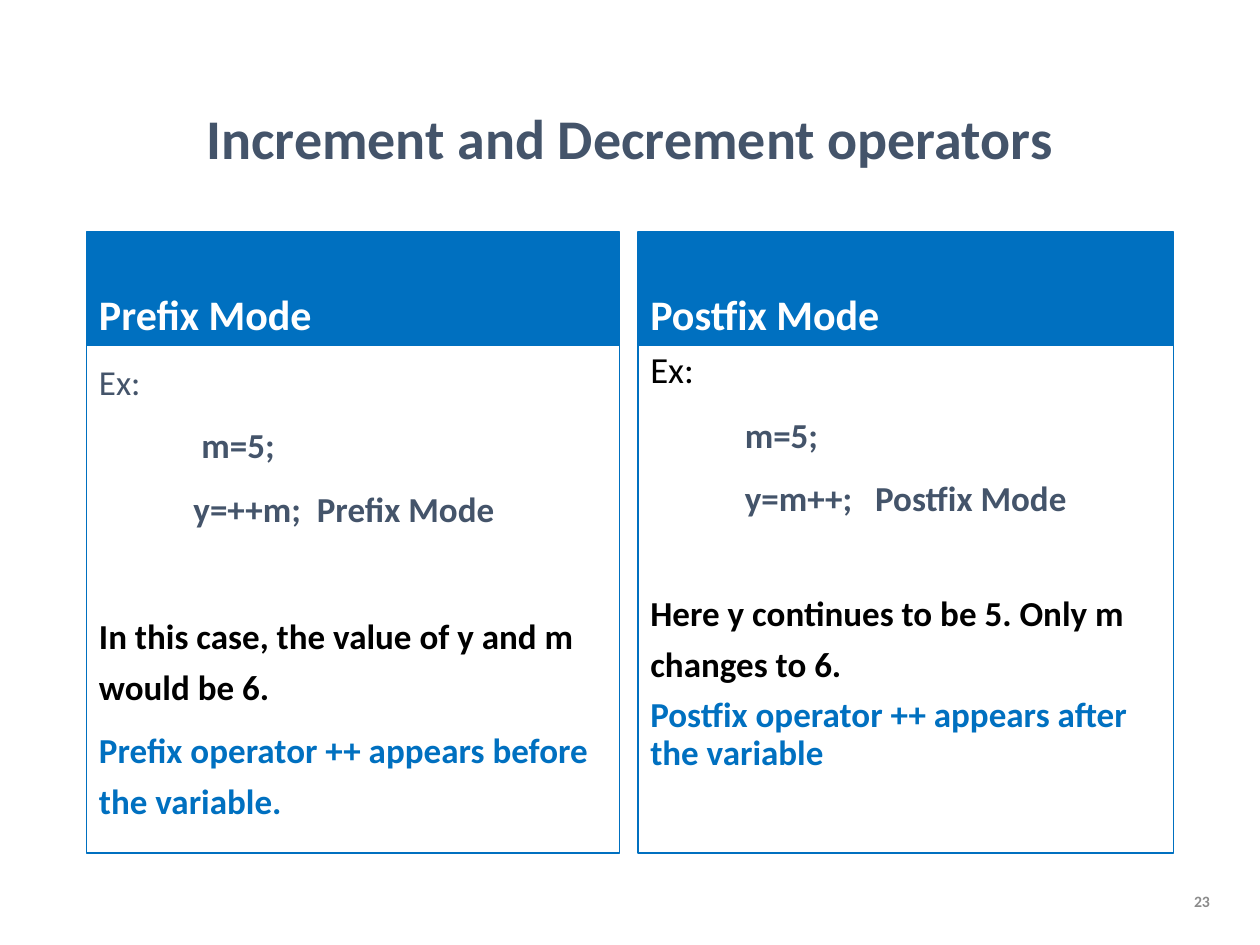
"""Build a slide comparing the prefix and postfix modes of the increment operator."""
from lxml.etree import SubElement
from pptx import Presentation
from pptx.dml.color import RGBColor
from pptx.enum.shapes import MSO_SHAPE
from pptx.enum.text import MSO_ANCHOR, PP_ALIGN
from pptx.oxml.ns import qn
from pptx.util import Pt

COLORS = {
    "slate": "44546A",
    "blue": "0070C0",
    "white": "FFFFFF",
    "black": "000000",
    "gray": "8C8C8C",
}


def write(frame, anchor, lines):
    frame.word_wrap = True
    frame.vertical_anchor = anchor
    for index, (text, color, size, bold, layout, tabs) in enumerate(lines):
        paragraph = frame.paragraphs[0] if index == 0 else frame.add_paragraph()
        for name, value in ({"alignment": PP_ALIGN.LEFT} | layout).items():
            setattr(paragraph, name, value)
        if tabs:
            stops = SubElement(paragraph._p.get_or_add_pPr(), qn("a:tabLst"))
            for position in tabs:
                SubElement(stops, qn("a:tab"), pos=str(Pt(position)), algn="l")
        run = paragraph.add_run()
        run.text = text
        for name, value in {"name": "Calibri", "size": Pt(size), "bold": bold}.items():
            setattr(run.font, name, value)
        run.font.color.rgb = RGBColor.from_string(COLORS[color])


def add_panel(left, top, width, height, fill):
    panel = slide.shapes.add_shape(
        MSO_SHAPE.RECTANGLE, Pt(left), Pt(top), Pt(width), Pt(height)
    )
    panel.shadow.inherit = False
    if fill:
        panel.fill.solid()
        panel.fill.fore_color.rgb = RGBColor.from_string(COLORS[fill])
    else:
        panel.fill.background()
    panel.line.color.rgb = RGBColor.from_string(COLORS["blue"])
    panel.line.width = Pt(0.75)
    return panel.text_frame


presentation = Presentation()
presentation.slide_width = Pt(720)
presentation.slide_height = Pt(540)
slide = presentation.slides.add_slide(presentation.slide_layouts[6])

tight = {"line_spacing": 0.9, "space_before": Pt(7.5)}
loose = {"line_spacing": 1.2, "space_before": Pt(7.5)}

title = slide.shapes.add_textbox(Pt(49.5), Pt(28.8), Pt(621), Pt(104)).text_frame
centered = {"alignment": PP_ALIGN.CENTER, "line_spacing": 0.9}
write(title, MSO_ANCHOR.MIDDLE, [
    ("Increment and Decrement operators", "slate", 32, True, centered, []),
])

modes = [
    (49.5, 304.5, "Prefix Mode", [
        ("Ex:", "slate", 20, False, loose, []),
        ("\tm=5;", "slate", 20, True, loose, [58.5]),
        ("\ty=++m;\tPrefix Mode", "slate", 20, True, loose, [54, 124.5]),
        ("In this case, the value of y and m would be 6.", "black", 20, True,
         loose | {"space_before": Pt(44)}, []),
        ("Prefix operator ++ appears before the variable.", "blue", 20, True, loose, []),
    ]),
    (364.5, 306, "Postfix Mode", [
        ("Ex:", "black", 21, False, tight, []),
        ("\tm=5;", "slate", 20, True, loose, [54]),
        ("\ty=m++;\tPostfix Mode", "slate", 20, True, loose, [54, 128.5]),
        ("Here y continues to be 5. Only m changes to 6.", "black", 20, True,
         loose | {"space_before": Pt(37)}, []),
        ("Postfix operator ++ appears after the variable", "blue", 20, True, tight, []),
    ]),
]
for left, width, heading, explanation in modes:
    write(add_panel(left, 132.5, width, 65, "blue"), MSO_ANCHOR.BOTTOM,
          [(heading, "white", 24, True, tight, [])])
    write(add_panel(left, 197.5, width, 290, None), MSO_ANCHOR.TOP, explanation)

page_number = slide.shapes.add_textbox(Pt(670.5), Pt(500.5), Pt(28), Pt(28.8)).text_frame
write(page_number, MSO_ANCHOR.MIDDLE, [
    ("23", "gray", 9, True, {"alignment": PP_ALIGN.RIGHT}, []),
])

presentation.save("out.pptx")
